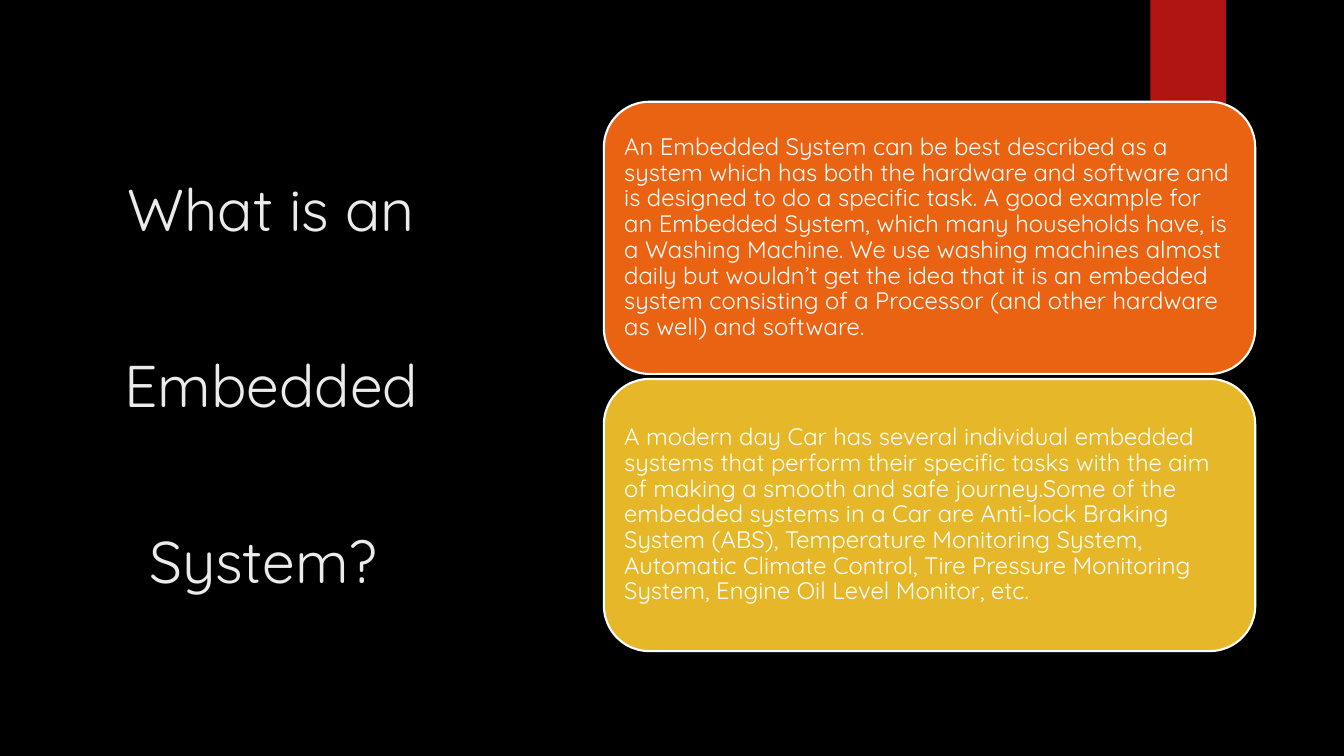
from pptx import Presentation
from pptx.dml.color import RGBColor
from pptx.enum.shapes import MSO_SHAPE as Shape
from pptx.enum.text import MSO_ANCHOR as Anchor, PP_ALIGN as Align
from pptx.util import Inches, Pt

COLOURS = {
    "background": "000000",
    "tab": "B01513",
    "title": "EBEBEB",
    "definition": "EA6312",
    "car": "E6B729",
    "white": "FFFFFF",
}
FONT = "Quicksand"
TITLE = "What is an Embedded System? "
CARDS = [
    ("definition",
     "An Embedded System can be best described as a system which has both the "
     "hardware and software and is designed to do a specific task. A good example "
     "for an Embedded System, which many households have, is a Washing Machine. "
     "We use washing machines almost daily but wouldn’t get the idea that it is an "
     "embedded system consisting of a Processor (and other hardware as well) and "
     "software."),
    ("car",
     "A modern day Car has several individual embedded systems that perform their "
     "specific tasks with the aim of making a smooth and safe journey.Some of the "
     "embedded systems in a Car are Anti-lock Braking System (ABS), Temperature "
     "Monitoring System, Automatic Climate Control, Tire Pressure Monitoring "
     "System, Engine Oil Level Monitor, etc."),
]
CARD_LEFT, CARD_TOP = 5.99, 1.01
CARD_WIDTH, CARD_HEIGHT, CARD_STEP = 6.46, 2.7, 2.75
CARD_INSET = 0.2  # corner clearance plus text margin

TITLE_FORMAT = {"size": Pt(42), "name": FONT}
BODY_FORMAT = {"size": Pt(17), "name": FONT}


def colour(name):
    return RGBColor.from_string(COLOURS[name])


def add_filled_shape(slide, preset, box, fill):
    shape = slide.shapes.add_shape(preset, *map(Inches, box))
    shape.shadow.inherit = False
    shape.fill.solid()
    shape.fill.fore_color.rgb = colour(fill)
    shape.line.fill.background()
    return shape


def write_text(shape, text, font_format, text_colour, align, spacing):
    frame = shape.text_frame
    frame.word_wrap = True
    paragraph = frame.paragraphs[0]
    paragraph.alignment = align
    paragraph.line_spacing = spacing
    run = paragraph.add_run()
    run.text = text
    for attribute, value in font_format.items():
        setattr(run.font, attribute, value)
    run.font.color.rgb = colour(text_colour)
    return frame


def add_title(slide):
    title = slide.shapes.add_textbox(*map(Inches, (0.63, 0.61, 4.12, 6.24)))
    frame = write_text(title, TITLE, TITLE_FORMAT, "title", Align.CENTER, 2.5)
    frame.vertical_anchor = Anchor.TOP


def add_card(slide, top, fill, text):
    box = (CARD_LEFT, top, CARD_WIDTH, CARD_HEIGHT)
    card = add_filled_shape(slide, Shape.ROUNDED_RECTANGLE, box, fill)
    card.line.color.rgb = colour("white")
    card.line.width = Pt(1.5)
    frame = write_text(card, text, BODY_FORMAT, "white", Align.LEFT, 0.9)
    frame.vertical_anchor = Anchor.MIDDLE
    # A rounded rectangle already insets its text by about 0.13 inches.
    margin = Inches(CARD_INSET - 0.13)
    for side in ("left", "right", "top", "bottom"):
        setattr(frame, f"margin_{side}", margin)


def main():
    presentation = Presentation()
    presentation.slide_width = Inches(13.33)
    presentation.slide_height = Inches(7.5)
    slide = presentation.slides.add_slide(presentation.slide_layouts[6])
    slide.background.fill.solid()
    slide.background.fill.fore_color.rgb = colour("background")

    add_filled_shape(slide, Shape.RECTANGLE, (11.41, 0, 0.75, 1.25), "tab")
    add_title(slide)
    for index, (fill, text) in enumerate(CARDS):
        add_card(slide, CARD_TOP + index * CARD_STEP, fill, text)

    presentation.save("out.pptx")


if __name__ == "__main__":
    main()
